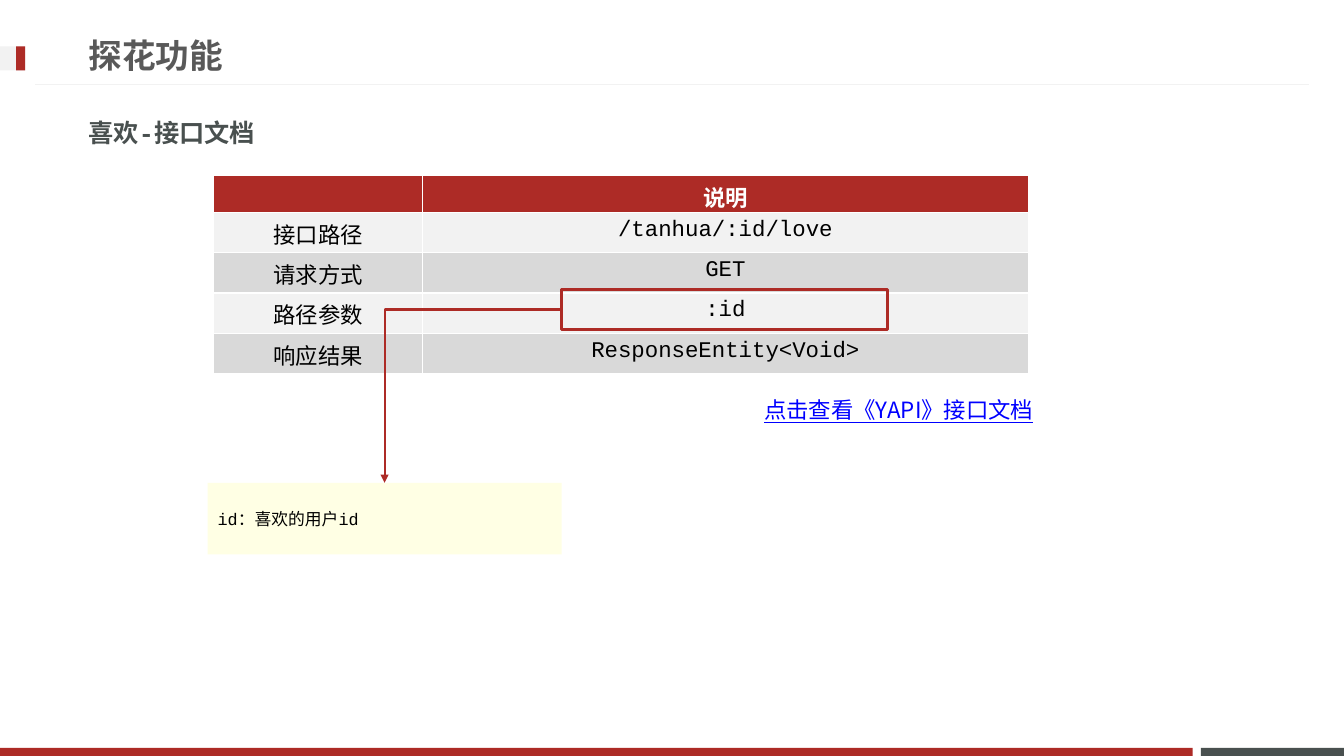
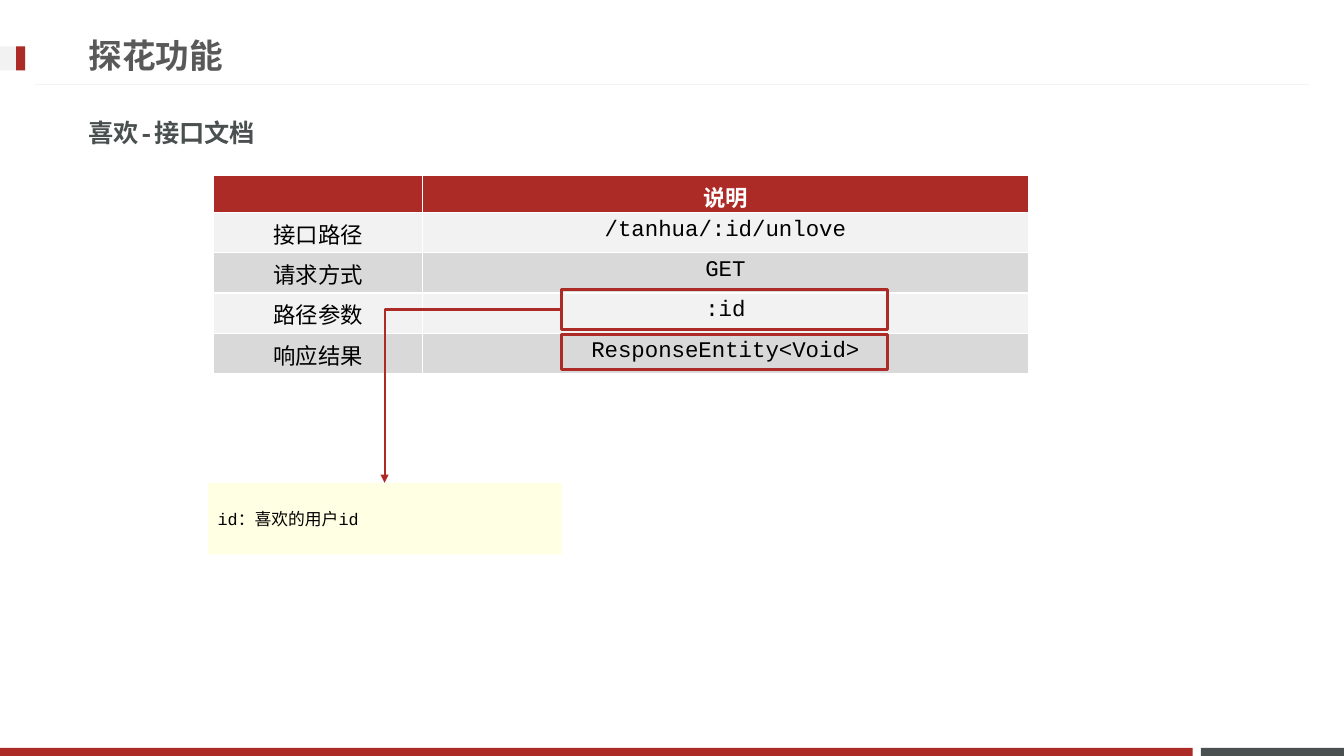
from dataclasses import dataclass
from typing import Any, Optional

from lxml import etree
from pptx import Presentation
from pptx.dml.color import RGBColor
from pptx.enum.shapes import MSO_CONNECTOR, MSO_SHAPE
from pptx.enum.text import MSO_ANCHOR, PP_ALIGN
from pptx.oxml.ns import qn
from pptx.util import Inches, Pt

RECTANGLE = MSO_SHAPE.RECTANGLE
STRAIGHT, ELBOW = MSO_CONNECTOR.STRAIGHT, MSO_CONNECTOR.ELBOW
TOP, MIDDLE = MSO_ANCHOR.TOP, MSO_ANCHOR.MIDDLE
LEFT, CENTER = PP_ALIGN.LEFT, PP_ALIGN.CENTER
TOP_SIDE, LEFT_SIDE = 0, 1


@dataclass(frozen=True)
class Theme:
    red: str = "AD2B26"
    slate: str = "49504F"
    title_grey: str = "595959"
    pale: str = "F2F2F2"
    band: str = "D9D9D9"
    note: str = "FFFFE4"
    link: str = "0000FF"
    white: str = "FFFFFF"
    black: str = "000000"
    mono: str = "Courier New"
    sans: str = "Noto Sans CJK JP"
    title_size: int = 24
    subtitle_size: int = 18
    body_size: int = 16
    note_size: int = 12


THEME = Theme()


@dataclass(frozen=True)
class Area:
    left: float
    top: float
    width: float
    height: float

    def lengths(self) -> tuple:
        return tuple(Inches(v) for v in (self.left, self.top, self.width, self.height))


@dataclass(frozen=True)
class TextStyle:
    size: int
    color: str
    bold: bool = False
    underline: bool = False
    font: str = THEME.mono


@dataclass(frozen=True)
class Band:
    area: Area
    color: str


@dataclass(frozen=True)
class InterfacePage:
    endpoint: str
    highlights: tuple[Area, ...]
    link_text: Optional[str] = None


TITLE = TextStyle(THEME.title_size, THEME.title_grey, bold=True)
SUBTITLE = TextStyle(THEME.subtitle_size, THEME.slate, bold=True)
HEADER = TextStyle(THEME.body_size, THEME.white, bold=True)
BODY = TextStyle(THEME.body_size, THEME.black)
NOTE = TextStyle(THEME.note_size, THEME.black)
LINK = TextStyle(THEME.body_size, THEME.link, underline=True, font=THEME.sans)

BANDS = (
    Band(Area(11.91, 7.42, 1.42, 0.08), THEME.slate),
    Band(Area(0, 7.42, 11.83, 0.08), THEME.red),
    Band(Area(0, 0.46, 0.25, 0.24), THEME.pale),
    Band(Area(0.16, 0.46, 0.09, 0.24), THEME.red),
)
TITLE_AREA = Area(0.78, 0.26, 9.59, 0.57)
SUBTITLE_AREA = Area(0.78, 1.03, 11.7, 0.57)
TABLE_AREA = Area(2.12, 1.74, 8.08, 1.96)
COLUMN_WIDTHS = (2.07, 6.01)
HEADER_HEIGHT, ROW_HEIGHT = 0.36, 0.4
NOTE_AREA = Area(2.06, 4.79, 3.51, 0.71)
LINK_AREA = Area(7.48, 3.75, 5.75, 0.41)
PARAMETER_AREA = Area(5.57, 2.87, 3.23, 0.4)
RESPONSE_AREA = Area(5.57, 3.32, 3.23, 0.35)

PAGES = (
    InterfacePage("/tanhua/:id/love", (PARAMETER_AREA,), "点击查看《YAPI》接口文档"),
    InterfacePage("/tanhua/:id/unlove", (PARAMETER_AREA, RESPONSE_AREA)),
)


def rgb(color: str) -> RGBColor:
    return RGBColor.from_string(color)


def write(frame: Any, text: str, style: TextStyle, align: Any = LEFT) -> None:
    paragraph = frame.paragraphs[0]
    paragraph.alignment = align
    paragraph.font.size = Pt(style.size)
    if not text:
        return
    run = paragraph.add_run()
    run.text = text
    formats = {"name": style.font, "size": Pt(style.size),
               "bold": style.bold, "underline": style.underline}
    for attribute, value in formats.items():
        setattr(run.font, attribute, value)
    run.font.color.rgb = rgb(style.color)
    east_asian = etree.SubElement(run.font._element, qn("a:ea"))
    east_asian.set("typeface", THEME.sans)


def add_text(slide: Any, area: Area, text: str, style: TextStyle, anchor: Any = MIDDLE) -> Any:
    frame = slide.shapes.add_textbox(*area.lengths()).text_frame
    frame.word_wrap = True
    frame.vertical_anchor = anchor
    write(frame, text, style)
    return frame


def add_rectangle(slide: Any, area: Area, fill: Optional[str] = None,
                  outline: Optional[str] = None) -> Any:
    rectangle = slide.shapes.add_shape(RECTANGLE, *area.lengths())
    rectangle.shadow.inherit = False
    if fill:
        rectangle.fill.solid()
        rectangle.fill.fore_color.rgb = rgb(fill)
    else:
        rectangle.fill.background()
    if outline:
        rectangle.line.color.rgb = rgb(outline)
        rectangle.line.width = Pt(2)
    else:
        rectangle.line.fill.background()
    return rectangle


def style_connector(connector: Any, color: str, width: float) -> None:
    connector.line.color.rgb = rgb(color)
    connector.line.width = Pt(width)
    etree.SubElement(connector._element.spPr, qn("a:effectLst"))


def add_frame(slide: Any) -> None:
    """Draw the bands, rule and headings that every page carries."""
    for band in BANDS:
        add_rectangle(slide, band.area, fill=band.color)
    rule = slide.shapes.add_connector(
        STRAIGHT, Inches(0.35), Inches(0.84), Inches(12.98), Inches(0.84))
    style_connector(rule, THEME.pale, 0.75)
    add_text(slide, TITLE_AREA, "探花功能", TITLE)
    add_text(slide, SUBTITLE_AREA, "喜欢-接口文档", SUBTITLE)


def add_interface_table(slide: Any, endpoint: str) -> None:
    rows = (
        ("", "说明"),
        ("接口路径", endpoint),
        ("请求方式", "GET"),
        ("路径参数", ":id"),
        ("响应结果", "ResponseEntity<Void>"),
    )
    table = slide.shapes.add_table(
        len(rows), len(COLUMN_WIDTHS), *TABLE_AREA.lengths()).table
    table.horz_banding = False
    for column, width in zip(table.columns, COLUMN_WIDTHS):
        column.width = Inches(width)
    for index, texts in enumerate(rows):
        is_header = index == 0
        table.rows[index].height = Inches(HEADER_HEIGHT if is_header else ROW_HEIGHT)
        row_fill = THEME.red if is_header else (THEME.band, THEME.pale)[index % 2]
        for cell, text in zip(table.rows[index].cells, texts):
            cell.fill.solid()
            cell.fill.fore_color.rgb = rgb(row_fill)
            write(cell.text_frame, text, HEADER if is_header else BODY, CENTER)


def add_callout(slide: Any, parameter: Any) -> None:
    """Explain the highlighted parameter in a note joined by an elbow arrow."""
    note = add_rectangle(slide, NOTE_AREA, fill=THEME.note)
    note.text_frame.word_wrap = True
    note.text_frame.vertical_anchor = MIDDLE
    write(note.text_frame, "id：喜欢的用户id", NOTE)

    arrow = slide.shapes.add_connector(ELBOW, 0, 0, 0, 0)
    arrow.begin_connect(parameter, LEFT_SIDE)
    arrow.end_connect(note, TOP_SIDE)
    arrow._element.spPr.find(qn("a:prstGeom")).set("prst", "bentConnector2")
    style_connector(arrow, THEME.red, 1.5)
    line = arrow._element.spPr.find(qn("a:ln"))
    etree.SubElement(line, qn("a:tailEnd")).set("type", "triangle")


def add_page(presentation: Any, page: InterfacePage) -> None:
    slide = presentation.slides.add_slide(presentation.slide_layouts[6])
    add_frame(slide)
    add_interface_table(slide, page.endpoint)
    highlights = [add_rectangle(slide, area, outline=THEME.red) for area in page.highlights]
    add_callout(slide, highlights[0])
    if page.link_text:
        link = add_text(slide, LINK_AREA, page.link_text, LINK, TOP)
        link.paragraphs[0].line_spacing = 1.5


def main() -> None:
    presentation = Presentation()
    presentation.slide_width = Inches(13.33)
    presentation.slide_height = Inches(7.5)
    for page in PAGES:
        add_page(presentation, page)
    presentation.save("out.pptx")


if __name__ == "__main__":
    main()
